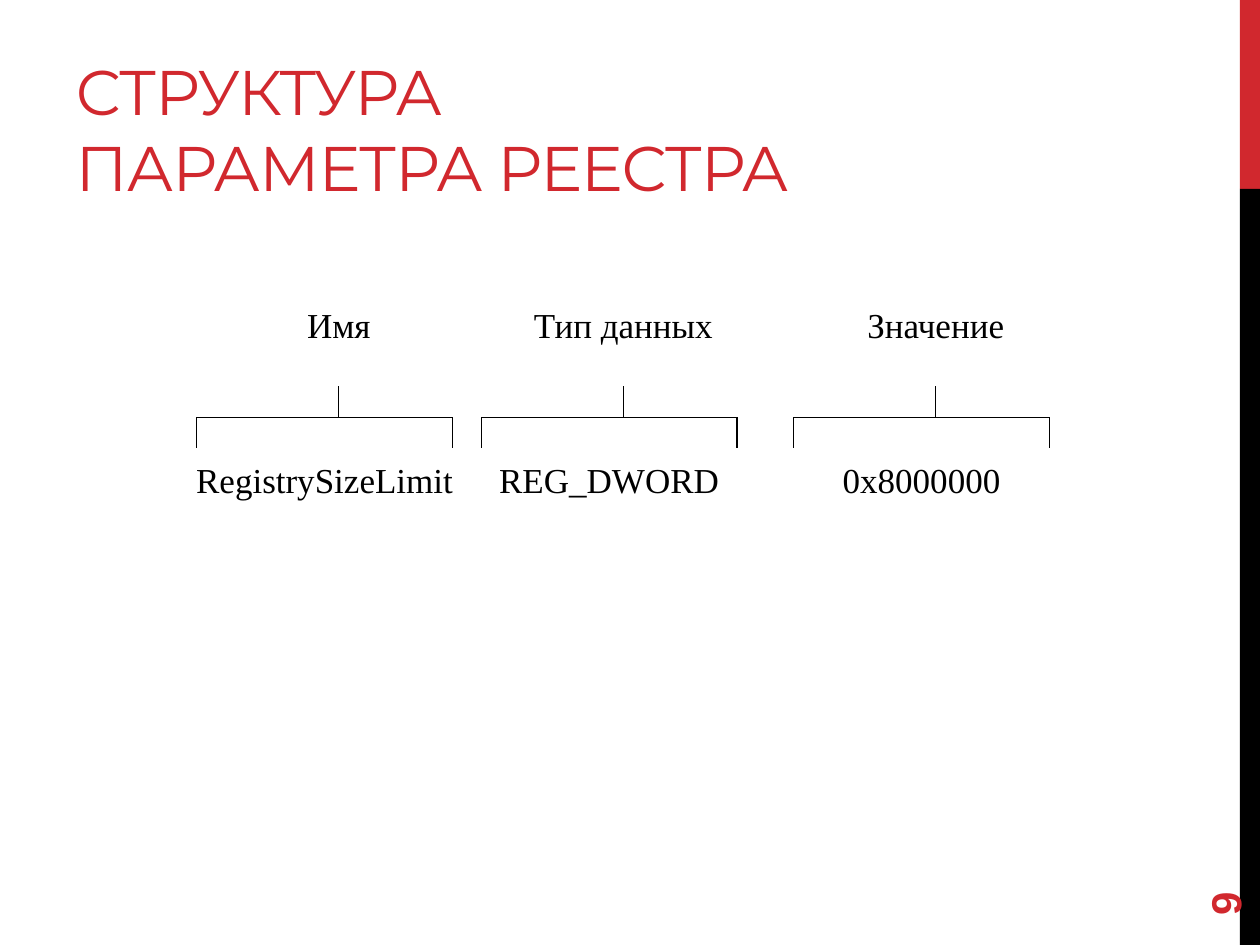
from dataclasses import dataclass

from lxml import etree
from pptx import Presentation
from pptx.dml.color import RGBColor
from pptx.enum import shapes, text
from pptx.oxml.ns import qn
from pptx.util import Pt


@dataclass(frozen=True)
class Theme:
    red: RGBColor = RGBColor(0xD1, 0x28, 0x2E)
    black: RGBColor = RGBColor(0, 0, 0)
    head: str = "Montserrat"
    body: str = "Times New Roman"
    num: str = "Arial"
    head_size: int = 36
    body_size: int = 20
    num_size: int = 24
    rule: float = 0.75


THEME = Theme()


def style(para, name, size, color, align, bold=False):
    para.alignment = align
    font = para.font
    font.name, font.size, font.bold = name, Pt(size), bold
    font.color.rgb = color


def place(shape, x, y, w, h):
    shape.left, shape.top, shape.width, shape.height = map(Pt, (x, y, w, h))


def add_text(parts, words, x, y, w, h):
    """Add a centred body label to the box."""
    box = parts.add_textbox(Pt(x), Pt(y), Pt(w), Pt(h))
    frame = box.text_frame
    frame.word_wrap = True
    frame.margin_top = Pt(6)
    para = frame.paragraphs[0]
    para.text = words
    para.space_after = Pt(3)
    style(para, THEME.body, THEME.body_size, THEME.black, text.PP_ALIGN.CENTER)


def add_line(parts, x1, y1, x2, y2):
    line = parts.add_connector(
        shapes.MSO_CONNECTOR.STRAIGHT, Pt(x1), Pt(y1), Pt(x2), Pt(y2))
    line.line.color.rgb = THEME.black
    line.line.width = Pt(THEME.rule)
    etree.SubElement(line._element.spPr, qn("a:effectLst"))


def add_bar(slide, x, y, w, h):
    """Two-colour side bar, red for the top fifth."""
    cut = h / 5
    for top, tall, color in ((y, cut, THEME.red), (y + cut, h - cut, THEME.black)):
        bar = slide.shapes.add_shape(
            shapes.MSO_SHAPE.RECTANGLE, Pt(x), Pt(top), Pt(w), Pt(tall))
        bar.shadow.inherit = False
        bar.fill.solid()
        bar.fill.fore_color.rgb = color
        bar.line.fill.background()


def add_title(slide, words, x, y, w, h):
    title = slide.shapes.title
    place(title, x, y, w, h)
    frame = title.text_frame
    frame.word_wrap = True
    frame.auto_size = text.MSO_AUTO_SIZE.NONE
    frame.vertical_anchor = text.MSO_ANCHOR.BOTTOM
    para = frame.paragraphs[0]
    run = para.add_run()
    run.text = words
    run._r.get_or_add_rPr().set("spc", "-60")
    style(para, THEME.head, THEME.head_size, THEME.red, text.PP_ALIGN.LEFT)


def add_number(slide, words, x, y, w, h):
    """Page number, turned to read upwards."""
    box = slide.shapes.add_textbox(Pt(x), Pt(y), Pt(w), Pt(h))
    box.rotation = 270
    frame = box.text_frame
    frame.word_wrap = True
    frame.vertical_anchor = text.MSO_ANCHOR.MIDDLE
    para = frame.paragraphs[0]
    para.text = words
    style(para, THEME.num, THEME.num_size, THEME.red, text.PP_ALIGN.LEFT, True)


def add_field(slide, label, value, x, y, w, h, wide=0):
    """Label, bracket and value; wide lets the value overhang both sides."""
    parts = slide.shapes.add_group_shape().shapes
    tall, arm = h * 3 / 8, h / 8
    stem, span = x + w * 5 / 9, w * 8 / 9
    top, mid, foot = y + tall, y + tall + arm, y + tall + 2 * arm
    add_text(parts, label, stem - span / 2, y, span, tall)
    add_text(parts, value, x - wide, foot, w + 2 * wide, tall)
    # Bracket: stem, beam and two legs
    add_line(parts, stem, top, stem, mid)
    add_line(parts, x, mid, x + w, mid)
    for leg in (x, x + w):
        add_line(parts, leg, mid, leg, foot)


def main():
    deck = Presentation()
    deck.slide_width, deck.slide_height = Pt(720), Pt(540)
    slide = deck.slides.add_slide(deck.slide_layouts[5])
    add_bar(slide, 708.5, 0, 11.5, 540)
    add_title(slide, "СТРУКТУРА ПАРАМЕТРА РЕЕСТРА", 36, 12.25, 456, 108)
    add_number(slide, "9", 648, 463.7, 103.7, 28.8)

    # Parts of a registry entry
    fields = (
        ("Имя", "RegistrySizeLimit", 112.4, 16),
        ("Тип данных", "REG_DWORD", 275, 0),
        ("Значение", "0x8000000", 453.5, 0),
    )
    for label, value, left, wide in fields:
        add_field(slide, label, value, left, 167.4, 146.2, 142, wide)
    deck.save("out.pptx")


if __name__ == "__main__":
    main()
